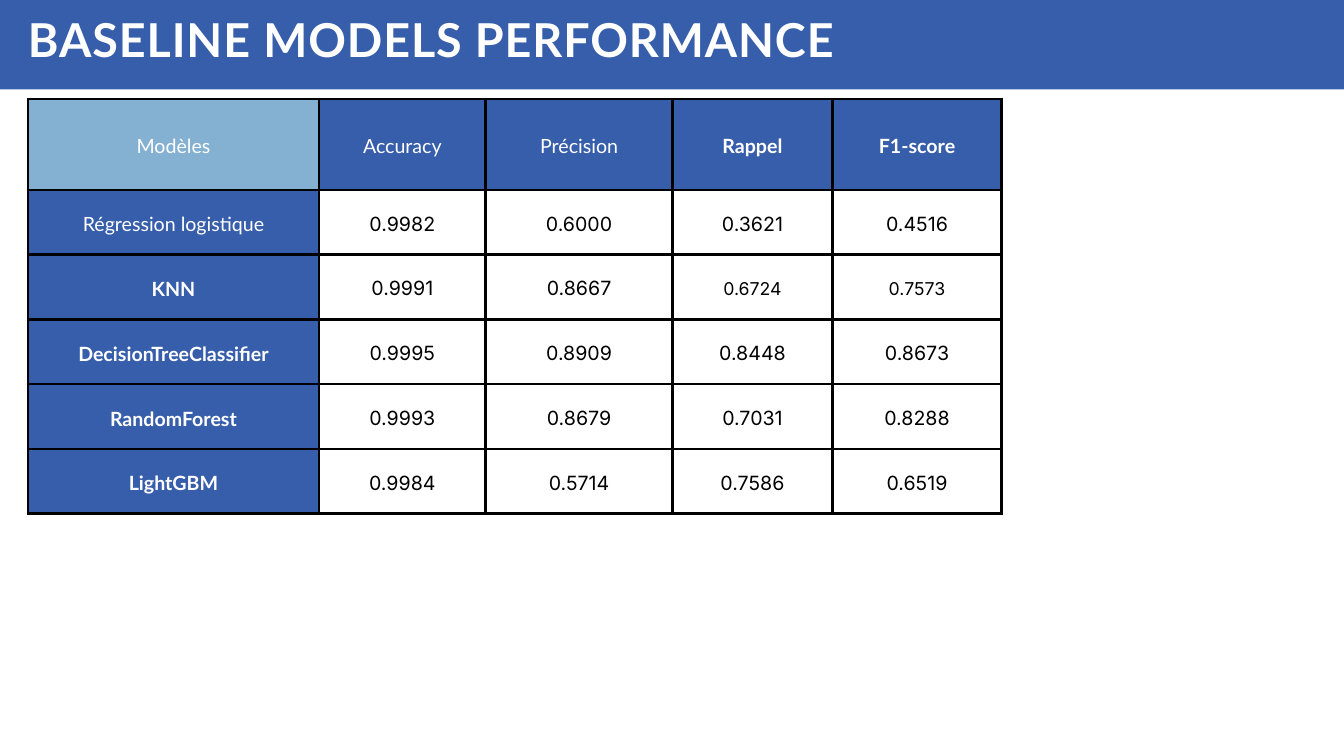
from dataclasses import dataclass

from lxml import etree
from pptx import Presentation
from pptx.dml.color import RGBColor
from pptx.enum.shapes import MSO_SHAPE
from pptx.enum.text import MSO_ANCHOR, PP_ALIGN
from pptx.oxml.ns import qn
from pptx.util import Pt

RECT = MSO_SHAPE.RECTANGLE
TOP, MIDDLE = MSO_ANCHOR.TOP, MSO_ANCHOR.MIDDLE
LEFT, CENTER = PP_ALIGN.LEFT, PP_ALIGN.CENTER
BLUE, SKY, WHITE, BLACK = "375EAA", "84B0D2", "FFFFFF", "000000"
WIDTHS = [311.8, 178.6, 200.2, 171.4, 181.2]
HEIGHTS = [97.4] + [69.4] * 5
SIDES = ("margin_left", "margin_top", "margin_right", "margin_bottom")


@dataclass
class Style:
    face: str
    color: str
    size: float = 21
    bold: bool = False
    align: int = CENTER


@dataclass
class Model:
    name: str
    scores: tuple
    bold: bool = True
    small: tuple = ()


MODELS = [
    Model("Régression logistique", ("0.9982", "0.6000", "0.3621", "0.4516"), bold=False),
    Model("KNN", ("0.9991", "0.8667", "0.6724", "0.7573"), small=(2, 3)),
    Model("DecisionTreeClassifier", ("0.9995", "0.8909", "0.8448", "0.8673")),
    Model("RandomForest", ("0.9993", "0.8679", "0.7031", "0.8288")),
    Model("LightGBM", ("0.9984", "0.5714", "0.7586", "0.6519")),
]
HEADS = [("Modèles", False), ("Accuracy", False), ("Précision", False),
         ("Rappel", True), ("F1-score", True)]


def paint(color: str) -> RGBColor:
    return RGBColor.from_string(color)


def fill(item, color: str) -> None:
    item.fill.solid()
    item.fill.fore_color.rgb = paint(color)


def write(frame, text: str, style: Style):
    line = frame.paragraphs[0]
    line.alignment = style.align
    line.line_spacing = Pt(round(style.size * 1.4, 1))
    run = line.add_run()
    run.text = text
    values = {"name": style.face, "size": Pt(style.size), "bold": style.bold}
    for key, value in values.items():
        setattr(run.font, key, value)
    run.font.color.rgb = paint(style.color)
    return run


def border(cell) -> None:
    props = cell._tc.get_or_add_tcPr()
    for place, tag in enumerate(("a:lnL", "a:lnR", "a:lnT", "a:lnB")):
        edge = etree.Element(qn(tag), w=str(Pt(3)))
        solid = etree.SubElement(edge, qn("a:solidFill"))
        etree.SubElement(solid, qn("a:srgbClr"), val=BLACK)
        props.insert(place, edge)


def draw_cell(cell, text: str, style: Style, color: str = "") -> None:
    cell.vertical_anchor = MIDDLE
    for side in SIDES:
        setattr(cell, side, Pt(15))
    if color:
        fill(cell, color)
    else:
        cell.fill.background()
    write(cell.text_frame, text, style)
    border(cell)


def draw_table(slide) -> None:
    frame = slide.shapes.add_table(len(HEIGHTS), len(WIDTHS), Pt(30), Pt(106),
                                   Pt(sum(WIDTHS)), Pt(sum(HEIGHTS)))
    table = frame.table
    table.first_row = table.horz_banding = False
    for column, width in zip(table.columns, WIDTHS):
        column.width = Pt(width)
    for row, height in zip(table.rows, HEIGHTS):
        row.height = Pt(height)
    for col, (text, bold) in enumerate(HEADS):
        draw_cell(table.cell(0, col), text, Style("Lato", WHITE, bold=bold),
                  BLUE if col else SKY)
    for row, model in enumerate(MODELS, 1):
        draw_cell(table.cell(row, 0), model.name,
                  Style("Lato", WHITE, bold=model.bold), BLUE)
        for col, score in enumerate(model.scores):
            size = 19 if col in model.small else 21
            draw_cell(table.cell(row, col + 1), score, Style("Inter", BLACK, size))


def draw_band(slide) -> None:
    band = slide.shapes.add_shape(RECT, Pt(0), Pt(-16.5), Pt(1440), Pt(112.3))
    band.shadow.inherit = False
    fill(band, BLUE)
    band.line.fill.background()


def draw_title(slide) -> None:
    title = slide.shapes.title
    box = {"left": 30, "top": 2, "width": 1109.5, "height": 67}
    for key, value in box.items():
        setattr(title, key, Pt(value))
    frame = title.text_frame
    for side in SIDES:
        setattr(frame, side, Pt(0))
    frame.vertical_anchor = TOP
    frame.word_wrap = True
    run = write(frame, "BASELINE MODELS PERFORMANCE", Style("Lato", WHITE, 50, True, LEFT))
    frame.paragraphs[0].space_before = Pt(0)
    run.font._element.set("spc", "100")
    slide.shapes._spTree.append(title._element)


def main() -> None:
    deck = Presentation()
    deck.slide_width, deck.slide_height = Pt(1440), Pt(810)
    slide = deck.slides.add_slide(deck.slide_layouts[5])
    draw_table(slide)
    draw_band(slide)
    draw_title(slide)
    deck.save("out.pptx")


if __name__ == "__main__":
    main()
